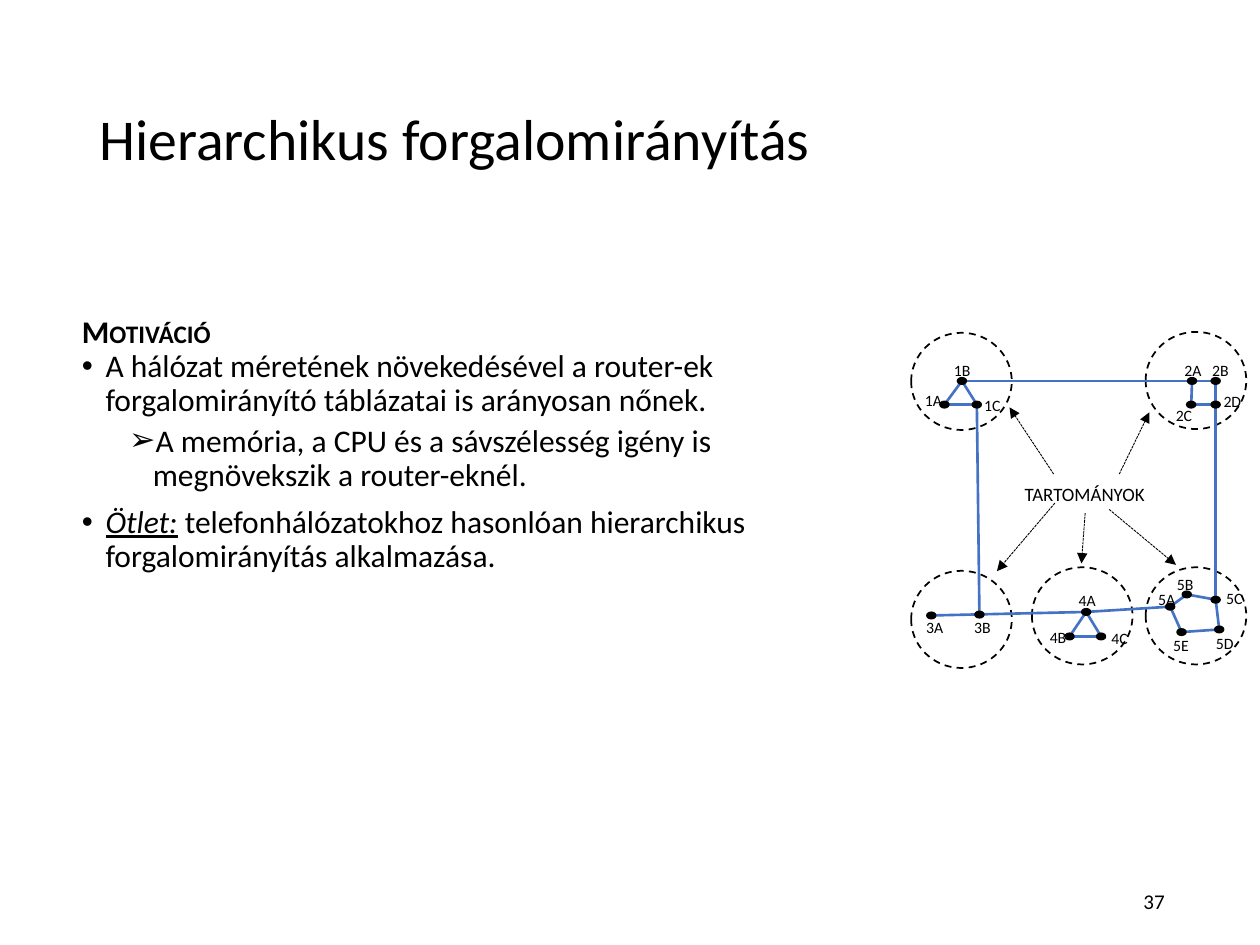
from lxml import etree
from pptx import Presentation
from pptx.dml.color import RGBColor
from pptx.enum import dml, shapes, text
from pptx.oxml import ns
from pptx.util import Pt

BLACK, BLUE = "000000", "4472C4"
FONT = "Calibri"

# Network: node -> (centre x, centre y, label left, label top)
NODES = {
    "1A": (19.5, 42, 1.3, 30.6), "1B": (29.5, 28.5, 17.8, 13.3),
    "1C": (38, 42, 35.1, 33.5),
    "2A": (161, 28.5, 149.6, 13.3), "2B": (174.5, 28.5, 165.4, 13.3),
    "2C": (160.5, 42, 144.6, 39.2), "2D": (174.5, 42, 171.9, 31.3),
    "3A": (12, 162.5, 2, 160.2), "3B": (39.5, 162, 29.4, 160.2),
    "4A": (100.5, 160.5, 89.1, 145.1), "4B": (91, 174.5, 72.6, 166),
    "4C": (109, 174.5, 107.8, 166.7),
    "5A": (148.5, 157.5, 134.5, 144.4), "5B": (158, 150.5, 145.3, 135.7),
    "5C": (174.5, 153.5, 173.4, 143.6), "5D": (176.5, 170.5, 167.6, 169.6),
    "5E": (155, 172, 143.1, 170.3),
}
LINKS = ("1B-2B 1B-1A 1B-1C 1A-1C 4A-4B 4A-4C 4B-4C 2A-2C 2B-2D 2C-2D 2D-5C "
         "4A-3A 1C-3B 5B-5C 5B-5A 5A-5E 5E-5D 5C-5D 4A-5A").split()
REGIONS = [(0.5, 1), (134.5, 0.5), (0.5, 137), (69.5, 135), (134.5, 135)]
ARROWS = [(82.6, 98.3, 49.5, 137.2), (99.9, 104, 97.8, 132.8),
          (113.6, 101.9, 151.8, 133.6), (81.9, 81.7, 56.7, 43.6),
          (119.4, 81.7, 136.6, 46.4)]


def color(value):
    return RGBColor.from_string(value)


def add_run(p, words, size=18, bold=False, italic=False, underline=False,
            small_caps=False):
    r = p.add_run()
    r.text = words
    f = r.font
    f.name, f.size, f.bold, f.italic = FONT, Pt(size), bold, italic
    f.underline = underline
    f.color.rgb = color(BLACK)
    if small_caps:
        r._r.get_or_add_rPr().set("cap", "small")


def set_bullet(p, char, left=0, hanging=0):
    pPr = p._p.get_or_add_pPr()
    pPr.set("marL", str(Pt(left)))
    pPr.set("indent", str(-Pt(hanging)))
    if char:
        etree.SubElement(pPr, ns.qn("a:buChar")).set("char", char)
    else:
        etree.SubElement(pPr, ns.qn("a:buNone"))


def place(sp, x, y, w, h):
    sp.left, sp.top, sp.width, sp.height = Pt(x), Pt(y), Pt(w), Pt(h)


def add_label(slide, words, x, y, w, h, wrap=False, align=None, **fmt):
    tf = slide.shapes.add_textbox(Pt(x), Pt(y), Pt(w), Pt(h)).text_frame
    tf.word_wrap = wrap
    if not wrap:
        tf.auto_size = text.MSO_AUTO_SIZE.SHAPE_TO_FIT_TEXT
    tf.paragraphs[0].alignment = align
    add_run(tf.paragraphs[0], words, **fmt)
    return tf


def add_ellipse(slide, x, y, w, h, fill=None, dash=None):
    sp = slide.shapes.add_shape(shapes.MSO_SHAPE.OVAL, Pt(x), Pt(y), Pt(w), Pt(h))
    sp.shadow.inherit = False
    if fill:
        sp.fill.solid()
        sp.fill.fore_color.rgb = color(fill)
    else:
        sp.fill.background()
    sp.line.color.rgb = color(BLACK)
    sp.line.width = Pt(1)
    sp.line.dash_style = dash


def add_line(slide, x1, y1, x2, y2, stroke, width, dash=None, arrow=False):
    cn = slide.shapes.add_connector(shapes.MSO_CONNECTOR.STRAIGHT,
                                    Pt(x1), Pt(y1), Pt(x2), Pt(y2))
    cn.line.color.rgb = color(stroke)
    cn.line.width = Pt(width)
    cn.line.dash_style = dash
    if arrow:
        etree.SubElement(cn.line._ln, ns.qn("a:tailEnd")).set("type", "triangle")
    etree.SubElement(cn._element.spPr, ns.qn("a:effectLst"))


def add_title(slide, x, y, w, h):
    sp = slide.shapes.title
    place(sp, x, y, w, h)
    tf = sp.text_frame
    tf.auto_size = text.MSO_AUTO_SIZE.NONE
    tf.vertical_anchor = text.MSO_ANCHOR.MIDDLE
    p = tf.paragraphs[0]
    p.alignment = text.PP_ALIGN.LEFT
    p.line_spacing = 0.9
    add_run(p, "Hierarchikus forgalomirányítás", size=33)


def add_body(slide, x, y, w, h):
    sp = slide.placeholders[1]
    place(sp, x, y, w, h)
    tf = sp.text_frame
    tf.auto_size = text.MSO_AUTO_SIZE.NONE
    # Each item: level, bullet, left indent, space before, runs
    items = [
        (0, None, 0, 0, [("Motiváció", {"bold": True, "small_caps": True})]),
        (0, "•", 13.5, 0, [("A hálózat méretének növekedésével a router-ek "
                            "forgalomirányító táblázatai is arányosan nőnek.", {})]),
        (1, "➢", 40.5, 3.8, [("A memória, a CPU és a sávszélesség igény is "
                              "megnövekszik a router-eknél.", {})]),
        (0, "•", 13.5, 7.5, [("Ötlet:", {"italic": True, "underline": True}),
                             (" telefonhálózatokhoz hasonlóan hierarchikus "
                              "forgalomirányítás alkalmazása.", {})]),
    ]
    for i, (level, char, left, before, runs) in enumerate(items):
        p = tf.add_paragraph() if i else tf.paragraphs[0]
        p.level = level
        set_bullet(p, char, left, 13.5 if char else 0)
        p.line_spacing = 0.9
        p.space_before = Pt(before)
        for words, fmt in runs:
            add_run(p, words, **fmt)


def add_network(slide, x, y):
    # Regions
    for dx, dy in REGIONS:
        add_ellipse(slide, x + dx, y + dy, 57.5, 55.5, dash=dml.MSO_LINE.DASH)
    # Links between routers
    for link in LINKS:
        (x1, y1), (x2, y2) = (NODES[name][:2] for name in link.split("-"))
        add_line(slide, x + x1, y + y1, x + x2, y + y2, BLUE, 1.5)
    # Routers and their names
    for name, (cx, cy, lx, ly) in NODES.items():
        add_ellipse(slide, x + cx - 2.5, y + cy - 1.8, 5, 3.6, fill=BLACK)
        tf = add_label(slide, name, x + lx, y + ly, 25, 18, size=9)
        tf.margin_right = 0  # room for the widest name on one line
    # Caption with arrows to the regions
    add_label(slide, "tartományok", x + 58.2, y + 80.3, 83.5, 24,
              size=13.5, small_caps=True)
    for x1, y1, x2, y2 in ARROWS:
        add_line(slide, x + x1, y + y1, x + x2, y + y2, BLACK, 0.5,
                 dash=dml.MSO_LINE.SQUARE_DOT, arrow=True)


def add_page_number(slide, x, y, w, h):
    tf = add_label(slide, "37", x, y, w, h, wrap=True,
                   align=text.PP_ALIGN.RIGHT, size=12)
    tf.vertical_anchor = text.MSO_ANCHOR.MIDDLE
    tf.margin_left = tf.margin_right = Pt(5)
    tf.margin_top = tf.margin_bottom = Pt(3)


def main():
    prs = Presentation()
    prs.slide_width, prs.slide_height = Pt(720), Pt(540)
    slide = prs.slides.add_slide(prs.slide_layouts[1])
    add_title(slide, 49.5, 28.8, 621, 104.4)
    add_body(slide, 39.6, 177, 466.5, 270.7)
    add_network(slide, 520.2, 189.2)
    add_page_number(slide, 508.5, 500.5, 162, 28.8)
    prs.save("out.pptx")


if __name__ == "__main__":
    main()
